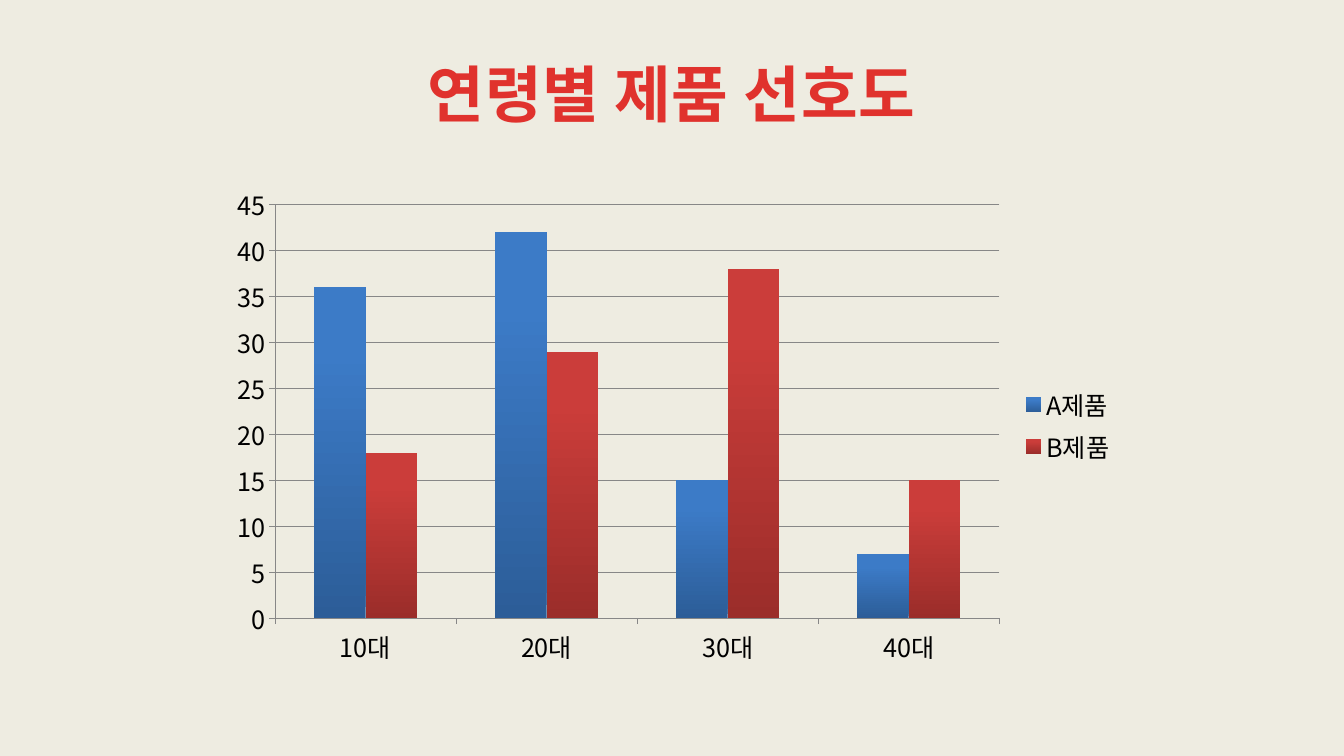
from lxml import etree
from pptx import Presentation
from pptx.chart.data import CategoryChartData
from pptx.dml.color import RGBColor
from pptx.enum.chart import XL_CHART_TYPE, XL_LEGEND_POSITION, XL_TICK_MARK
from pptx.enum.text import MSO_ANCHOR, PP_ALIGN
from pptx.oxml.ns import qn
from pptx.util import Pt

EMU_PER_PIXEL = 914400 / 100.8
SLIDE_SIZE = (1344, 756)
TITLE_BOX = (67, 30, 1210, 126)
CHART_BOX = (219, 176, 907, 499)
TITLE_ONLY_LAYOUT = 5

FONT_NAME = "Noto Sans CJK KR"
CREAM = RGBColor(0xEE, 0xEC, 0xE1)
BLACK = RGBColor(0x00, 0x00, 0x00)
AXIS_GREY = RGBColor(0x87, 0x87, 0x87)
TITLE_RED = RGBColor(0xE0, 0x32, 0x2D)
TITLE_DARK_RED = RGBColor(0xA2, 0x20, 0x1C)
BLUE = RGBColor(0x3C, 0x7B, 0xC7)
DARK_BLUE = RGBColor(0x2C, 0x5D, 0x98)
RED = RGBColor(0xCB, 0x3D, 0x3A)
DARK_RED = RGBColor(0x9B, 0x2D, 0x2A)

COLUMN_CLUSTERED = XL_CHART_TYPE.COLUMN_CLUSTERED
LEGEND_RIGHT = XL_LEGEND_POSITION.RIGHT
TICK_OUTSIDE = XL_TICK_MARK.OUTSIDE
TICK_NONE = XL_TICK_MARK.NONE
ALIGN_CENTER = PP_ALIGN.CENTER
ANCHOR_MIDDLE = MSO_ANCHOR.MIDDLE

TITLE_FONT = {"name": FONT_NAME, "size": Pt(44), "bold": True}
CHART_FONT = {"name": FONT_NAME, "size": Pt(18), "bold": False}
AXIS_FORMAT = {"major_tick_mark": TICK_OUTSIDE, "minor_tick_mark": TICK_NONE}

AGE_GROUPS = ("10대", "20대", "30대", "40대")
# Product name, share per age group, bottom colour, top colour
PRODUCTS = (
    ("A제품", (36, 42, 15, 7), DARK_BLUE, BLUE),
    ("B제품", (18, 29, 38, 15), DARK_RED, RED),
)


def to_emu(pixels):
    return [round(value * EMU_PER_PIXEL) for value in pixels]


def apply_format(target, values):
    for name, value in values.items():
        setattr(target, name, value)


def format_font(font, values):
    """Set the font, with the same typeface for Korean text."""
    apply_format(font, values)
    latin = font._element.find(qn("a:latin"))
    east_asian = etree.Element(qn("a:ea"), typeface=values["name"])
    latin.addnext(east_asian)


def apply_gradient(fill, stops, angle):
    fill.gradient()
    fill.gradient_angle = angle
    for gradient_stop, (position, color) in zip(fill.gradient_stops, stops):
        gradient_stop.position = position
        gradient_stop.color.rgb = color


def add_title(slide, text):
    title = slide.shapes.title
    box = dict(zip(("left", "top", "width", "height"), to_emu(TITLE_BOX)))
    apply_format(title, box)
    title.text_frame.vertical_anchor = ANCHOR_MIDDLE
    paragraph = title.text_frame.paragraphs[0]
    paragraph.alignment = ALIGN_CENTER
    run = paragraph.add_run()
    run.text = text
    format_font(run.font, TITLE_FONT)
    apply_gradient(run.font.fill, ((0.25, TITLE_RED), (1, TITLE_DARK_RED)), 270)
    run.font._element.set("spc", "50")


def format_axis(axis):
    apply_format(axis, AXIS_FORMAT)
    format_line(axis.format.line)


def format_line(line):
    line.color.rgb = AXIS_GREY
    line.width = Pt(0.75)


def add_column_chart(slide):
    chart_data = CategoryChartData()
    chart_data.categories = AGE_GROUPS
    for name, values, _, _ in PRODUCTS:
        chart_data.add_series(name, values)
    frame = slide.shapes.add_chart(COLUMN_CLUSTERED, *to_emu(CHART_BOX), chart_data)
    chart = frame.chart
    apply_format(chart, {"has_title": False, "has_legend": True})
    format_font(chart.font, CHART_FONT)
    chart.font.color.rgb = BLACK
    apply_format(chart.legend, {"position": LEGEND_RIGHT, "include_in_layout": False})

    # Axes and gridlines
    for axis in (chart.category_axis, chart.value_axis):
        format_axis(axis)
    chart.value_axis.has_major_gridlines = True
    format_line(chart.value_axis.major_gridlines.format.line)

    # Columns shaded from dark at the bottom to light at the top
    plot = chart.plots[0]
    apply_format(plot, {"gap_width": 150, "overlap": 0, "vary_by_categories": False})
    for series, (_, _, bottom, top) in zip(plot.series, PRODUCTS):
        apply_gradient(series.format.fill, ((0, bottom), (0.8, top)), 90)


def main():
    presentation = Presentation()
    presentation.slide_width, presentation.slide_height = to_emu(SLIDE_SIZE)
    slide = presentation.slides.add_slide(presentation.slide_layouts[TITLE_ONLY_LAYOUT])
    slide.background.fill.solid()
    slide.background.fill.fore_color.rgb = CREAM
    add_title(slide, "연령별 제품 선호도")
    add_column_chart(slide)
    presentation.save("out.pptx")


main()
